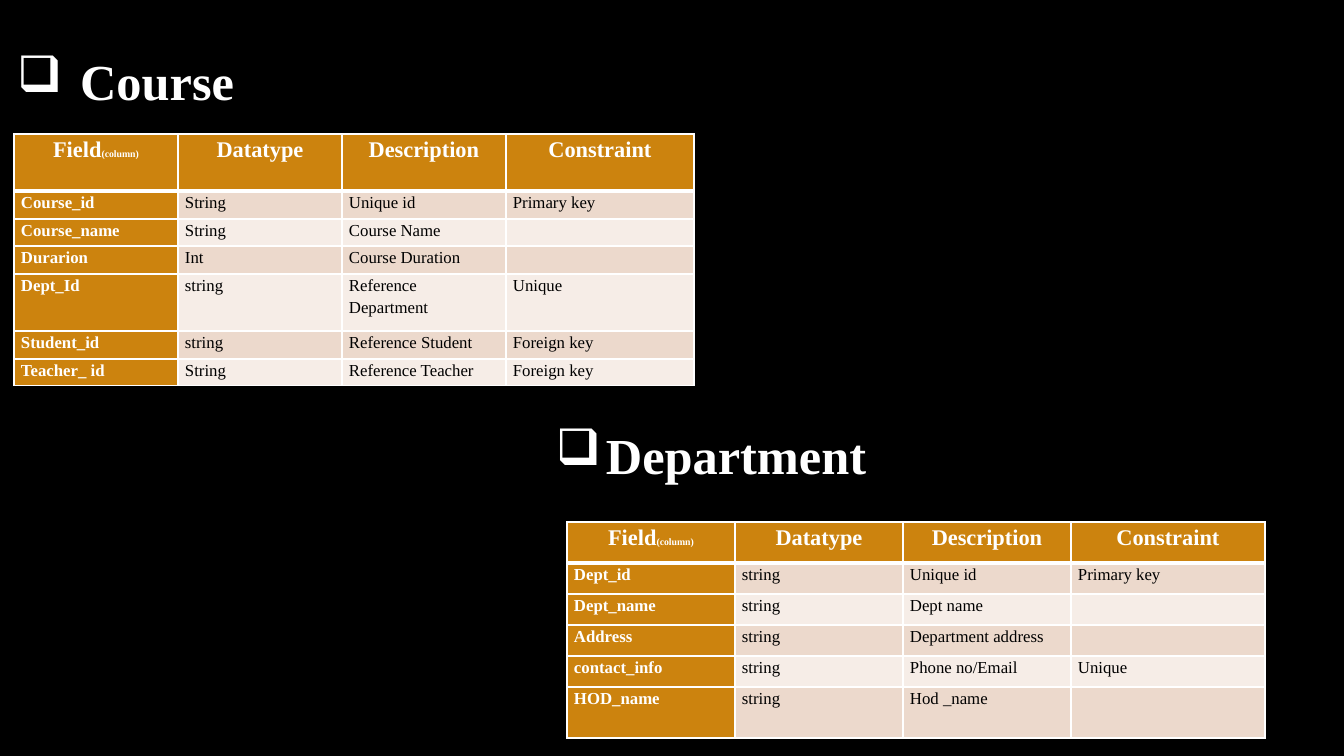
from lxml.etree import SubElement
from pptx import Presentation
from pptx.dml.color import RGBColor
from pptx.enum.text import MSO_ANCHOR, MSO_AUTO_SIZE, PP_ALIGN
from pptx.oxml.ns import qn
from pptx.util import Pt

BLACK = RGBColor(0x00, 0x00, 0x00)
WHITE = RGBColor(0xFF, 0xFF, 0xFF)
AMBER = RGBColor(0xCC, 0x83, 0x0E)
BANDS = [RGBColor(0xF6, 0xED, 0xE7), RGBColor(0xEC, 0xD9, 0xCC)]

HEADS = ["Field", "Datatype", "Description", "Constraint"]
COURSE = [
    ["Course_id", "String", "Unique id", "Primary key"],
    ["Course_name", "String", "Course Name", ""],
    ["Durarion", "Int", "Course Duration", ""],
    ["Dept_Id", "string", "Reference Department", "Unique"],
    ["Student_id", "string", "Reference Student", "Foreign key"],
    ["Teacher_ id", "String", "Reference Teacher", "Foreign key"],
]
DEPT = [
    ["Dept_id", "string", "Unique id", "Primary key"],
    ["Dept_name", "string", "Dept name", ""],
    ["Address", "string", "Department address", ""],
    ["contact_info", "string", "Phone no/Email", "Unique"],
    ["HOD_name", "string", "Hod _name", ""],
]


def px(n):
    """Turn pixels into EMU at 100.8 pixels to the inch."""
    return round(n * 914400 / 100.8)


def write(par, text, size=12, color=WHITE, bold=True, font="Times New Roman"):
    """Add a formatted run; an empty text only sets the line's size."""
    if not text:
        SubElement(par._p, qn("a:endParaRPr"), sz=str(size * 100))
        return
    run = par.add_run()
    run.text = text
    run.font.size = Pt(size)
    run.font.name = font
    run.font.bold = bold
    run.font.color.rgb = color


class Deck:
    def __init__(self):
        self.prs = Presentation()
        self.prs.slide_width, self.prs.slide_height = px(1344), px(756)
        self.slide = self.prs.slides.add_slide(self.prs.slide_layouts[5])
        fill = self.slide.background.fill
        fill.solid()
        fill.fore_color.rgb = BLACK

    def head(self, shape, text, box, dent, anchor, wrap):
        """Place a heading with a box-shaped bullet."""
        shape.left, shape.top, shape.width, shape.height = map(px, box)
        frame = shape.text_frame
        frame.word_wrap = wrap
        frame.auto_size = MSO_AUTO_SIZE.SHAPE_TO_FIT_TEXT
        frame.vertical_anchor = anchor
        par = frame.paragraphs[0]
        par.alignment = PP_ALIGN.LEFT
        props = par._p.get_or_add_pPr()
        props.set("marL", str(px(dent)))
        props.set("indent", str(-px(dent)))
        SubElement(props, qn("a:buChar"), char="❑")
        write(par, text, size=36)

    def title(self, text, box, dent):
        self.head(self.slide.shapes.title, text, box, dent, MSO_ANCHOR.TOP, True)

    def label(self, text, box, dent):
        shape = self.slide.shapes.add_textbox(0, 0, 0, 0)
        self.head(shape, text, box, dent, MSO_ANCHOR.MIDDLE, False)

    def edge(self, cell, row):
        """Draw white borders, thick between header and body."""
        props = cell._tc.get_or_add_tcPr()
        thick = {0: "lnB", 1: "lnT"}.get(row)
        for side in ("lnL", "lnR", "lnT", "lnB"):
            width = Pt(3 if side == thick else 1)
            line = SubElement(props, qn(f"a:{side}"), w=str(width))
            fill = SubElement(line, qn("a:solidFill"))
            SubElement(fill, qn("a:srgbClr"), val=str(WHITE))

    def cell(self, cell, text, row, col):
        cell.margin_left = cell.margin_right = px(7)
        cell.margin_top = cell.margin_bottom = 0
        self.edge(cell, row)
        accent = row == 0 or col == 0
        cell.fill.solid()
        cell.fill.fore_color.rgb = AMBER if accent else BANDS[row % 2]
        par = cell.text_frame.paragraphs[0]
        par.line_spacing = 1.15
        if row == 0:
            par.alignment = PP_ALIGN.CENTER
        write(par, text, size=12 if row else 16,
              color=WHITE if accent else BLACK, bold=accent)
        if row == col == 0:
            write(par, "(column)", size=7)

    def table(self, body, left, top, wides, highs):
        data = [HEADS] + body
        table = self.slide.shapes.add_table(
            len(data), len(HEADS), px(left), px(top),
            px(sum(wides)), px(sum(highs))).table
        table.first_col = True
        for col, wide in zip(table.columns, wides):
            col.width = px(wide)
        for row, high in zip(table.rows, highs):
            row.height = px(high)
        for r, line in enumerate(data):
            for c, text in enumerate(line):
                self.cell(table.cell(r, c), text, r, c)


def main():
    deck = Deck()
    # Department table
    deck.table(DEPT, 567, 522, [168] * 3 + [194], [41] + [31] * 4 + [51])
    # Course table
    deck.table(COURSE, 14, 134, [164] * 3 + [188],
               [57, 28, 27, 28, 57, 28, 27])
    # Headings
    deck.label("Department", (546, 418, 335, 72), 50)
    deck.title("Course", (7, 45, 347, 72), 63)
    deck.prs.save("out.pptx")


if __name__ == "__main__":
    main()
